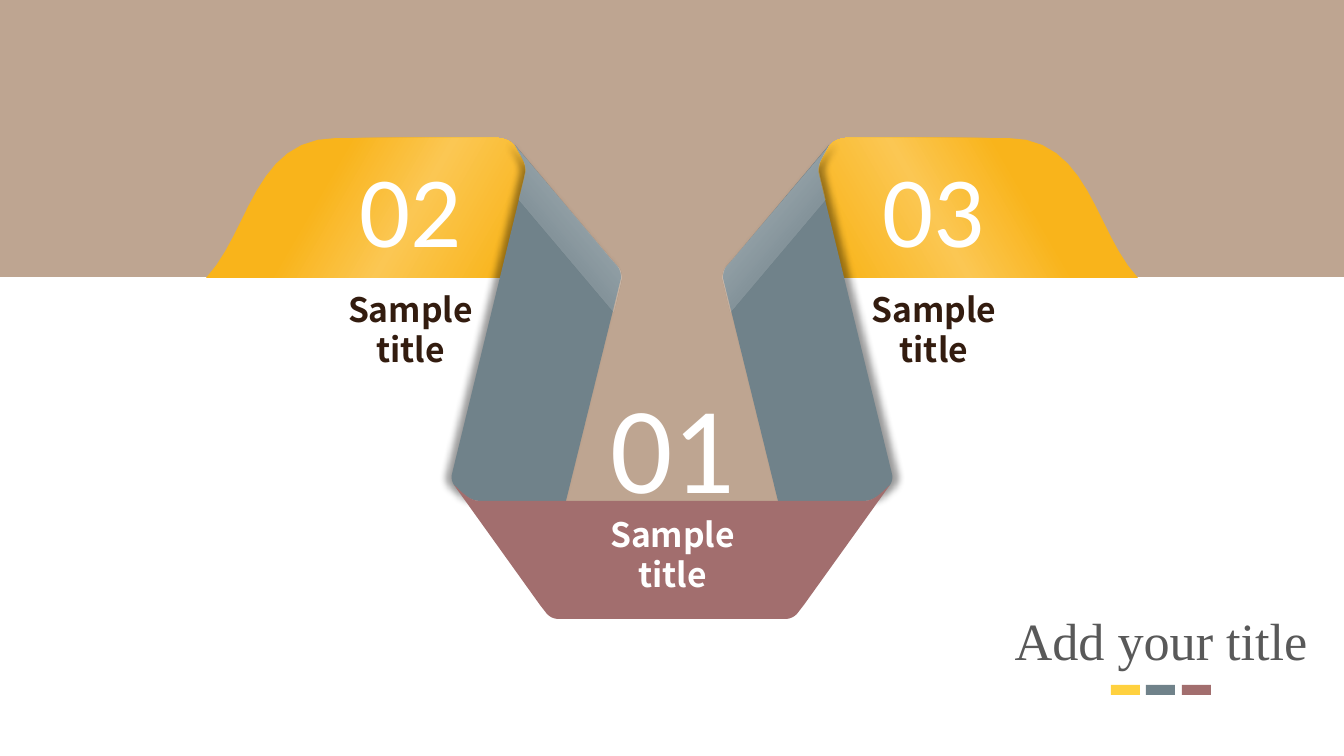
from lxml import etree
from pptx import Presentation
from pptx.dml.color import RGBColor
from pptx.enum.shapes import MSO_SHAPE
from pptx.enum.text import MSO_ANCHOR, PP_ALIGN
from pptx.oxml.ns import qn
from pptx.util import Pt

RECT = MSO_SHAPE.RECTANGLE
CENTER = PP_ALIGN.CENTER
TOP = MSO_ANCHOR.TOP
W, H = 1344, 756
SCALE = 9144000 / W
CURVE_STEPS = 12

SAND, SLATE, ROSE, YELLOW = "BEA591", "70828A", "A26E6E", "FFD13F"
BROWN, WHITE, GREY = "331C0F", "FFFFFF", "595959"
GOLD = [(36, "F9B41B", 100), (62, "FBC753", 100), (92, "F9B61F", 100)]
GLINT = [(0, WHITE, 40), (3, WHITE, 20), (28, WHITE, 0), (60, WHITE, 0)]
FOLD = [(0, "262626", 0), (19, WHITE, 2), (98, WHITE, 45)]
SHEEN = [(0, "262626", 0), (65, WHITE, 0), (100, WHITE, 34)]


def px(n):
    return round(n * SCALE)


def rgb(value):
    return RGBColor.from_string(value)


def sub(parent, tag, **attrs):
    el = etree.SubElement(parent, qn(tag))
    for key, value in attrs.items():
        el.set(key, str(value))
    return el


def add_color(parent, value, alpha):
    clr = sub(parent, "a:srgbClr", val=value)
    if alpha < 100:
        sub(clr, "a:alpha", val=alpha * 1000)


def paint(sp, color):
    sp.fill.solid()
    sp.fill.fore_color.rgb = rgb(color)
    sp.line.fill.background()
    sp.shadow.inherit = False


def paint_gradient(sp, stops, angle):
    sp.fill.gradient()
    sp.fill.gradient_angle = 0
    grad = sp._element.spPr.find(qn("a:gradFill"))
    gs_lst = grad.find(qn("a:gsLst"))
    for gs in list(gs_lst):
        gs_lst.remove(gs)
    for pos, color, alpha in stops:
        add_color(sub(gs_lst, "a:gs", pos=pos * 1000), color, alpha)
    grad.find(qn("a:lin")).set("ang", str(angle % 360 * 60000))
    sp.line.fill.background()
    sp.shadow.inherit = False


def add_shadow(sp, direction):
    effects = sp._element.spPr.find(qn("a:effectLst"))
    shadow = sub(effects, "a:outerShdw", blurRad=Pt(4), dist=Pt(3),
                 dir=direction * 60000, rotWithShape=0)
    add_color(shadow, "000000", 40)


def flatten(path):
    points = [path[0]]
    for seg in path[1:]:
        if len(seg) == 2:
            points.append(seg)
            continue
        nodes = [points[-1], seg[:2], seg[2:4], seg[4:]]
        for i in range(1, CURVE_STEPS + 1):
            t = i / CURVE_STEPS
            weights = ((1 - t) ** 3, 3 * t * (1 - t) ** 2,
                       3 * t * t * (1 - t), t ** 3)
            points.append(tuple(sum(k * n[axis] for k, n in zip(weights, nodes))
                                for axis in (0, 1)))
    return points


def outline(s, box, path, flip=False):
    left, top, width, _ = box
    points = [(px(left + (width - x if flip else x)), px(top + y))
              for x, y in flatten(path)]
    builder = s.shapes.build_freeform(*points[0], scale=1.0)
    builder.add_line_segments(points[1:], close=True)
    return builder.convert_to_shape()


def glaze(s, box, path, stops, angle, flip):
    sp = outline(s, box, path, flip)
    paint_gradient(sp, stops, 180 - angle if flip else angle)


def add_text(s, box, lines, size, font, color, bold=False):
    tf = s.shapes.add_textbox(*map(px, box)).text_frame
    tf.word_wrap = False
    tf.vertical_anchor = TOP
    tf.text = "\n".join(lines)
    for p in tf.paragraphs:
        p.alignment = CENTER
        for r in p.runs:
            r.font.name = font
            r.font.size = Pt(size)
            r.font.bold = bold
            r.font.color.rgb = rgb(color)


def label(s, box, number, size, title_top, color):
    left, top, width, height = box
    add_text(s, (left, top, width, title_top), [number], size, "Calibri", WHITE)
    add_text(s, (left, top + title_top, width, height - title_top),
             ["Sample", "title"], 18, "Noto Sans CJK KR", color, True)


def backdrop(s, box):
    _, _, width, height = box
    path = [(0, 0), (width, 0), (width, 277), (726, 277), (785, height),
            (560, height), (620, 277), (0, 277)]
    paint(outline(s, box, path), SAND)


def heading(s, box):
    left, top, width, height = box
    title = s.shapes.title
    title.left, title.top, title.width, title.height = map(px, (left, top, width, 77))
    tf = title.text_frame
    tf.text = "Add your title"
    tf.word_wrap = True
    p = tf.paragraphs[0]
    p.alignment = CENTER
    font = p.runs[0].font
    font.name = "Times New Roman"
    font.size = Pt(28)
    font.color.rgb = rgb(GREY)
    for i, color in enumerate((YELLOW, SLATE, ROSE)):
        bar = s.shapes.add_shape(RECT, px(left + 130 + 71 * i // 2),
                                 px(top + height - 10), px(29), px(10))
        paint(bar, color)


def wing(s, box, flip):
    path = [(291, 0), (298, 0, 307, 4, 310, 10), (315, 19, 321, 28, 321, 39),
            (297, 138), (295, 140), (0, 140), (44, 93, 48, 0, 131, 0)]
    glaze(s, box, path, GOLD, 30, flip)


def arm(s, box, flip):
    shoulder = [(64, 0), (159, 113), (167, 122), (169, 125, 170, 129, 170, 133)]
    tip = [(74, 30), (77, 19, 69, 11, 64, 0)]
    body = shoulder + [(115, 356), (29, 356), (18, 356, 11, 348, 3, 340),
                       (1, 337, 0, 333, 1, 329)] + tip
    sp = outline(s, box, body, flip)
    paint(sp, SLATE)
    add_shadow(sp, 0 if flip else 180)
    corner = [(15, 270), (34, 296), (77, 356), (29, 356), (3, 320)]
    glaze(s, box, corner, GLINT, 144, flip)
    glaze(s, box, shoulder + [(162, 167), (68, 55)] + tip, FOLD, 320, flip)


def base(s, box):
    path = [(0, 0), (8, 7, 15, 16, 26, 16), (410, 16), (421, 16, 428, 7, 436, 0),
            (350, 120), (343, 129), (340, 132, 336, 134, 332, 134), (104, 134),
            (100, 134, 96, 132, 93, 129), (86, 120)]
    paint(outline(s, box, path), ROSE)
    side = [(0, 0), (8, 8, 15, 16, 26, 16), (85, 16), (170, 134), (104, 134),
            (100, 133, 96, 132, 93, 129), (86, 120)]
    for flip in (False, True):
        glaze(s, box, side, SHEEN, 144, flip)


def main():
    prs = Presentation()
    prs.slide_width, prs.slide_height = px(W), px(H)
    s = prs.slides.add_slide(prs.slide_layouts[5])
    backdrop(s, (0, 0, W, 509))
    heading(s, (981, 601, 360, 94))
    for region, (left, top, width, height) in ((wing, (206, 138, 321, 140)),
                                               (arm, (451, 145, 170, 356))):
        for flip in (False, True):
            x = W - left - width if flip else left
            region(s, (x, top, width, height), flip)
    base(s, (454, 485, 436, 134))
    label(s, (323, 140, 175, 237), "02", 54, 142, BROWN)
    label(s, (847, 140, 174, 237), "03", 54, 142, BROWN)
    label(s, (585, 364, 175, 238), "01", 66, 143, WHITE)
    prs.save("out.pptx")


if __name__ == "__main__":
    main()
